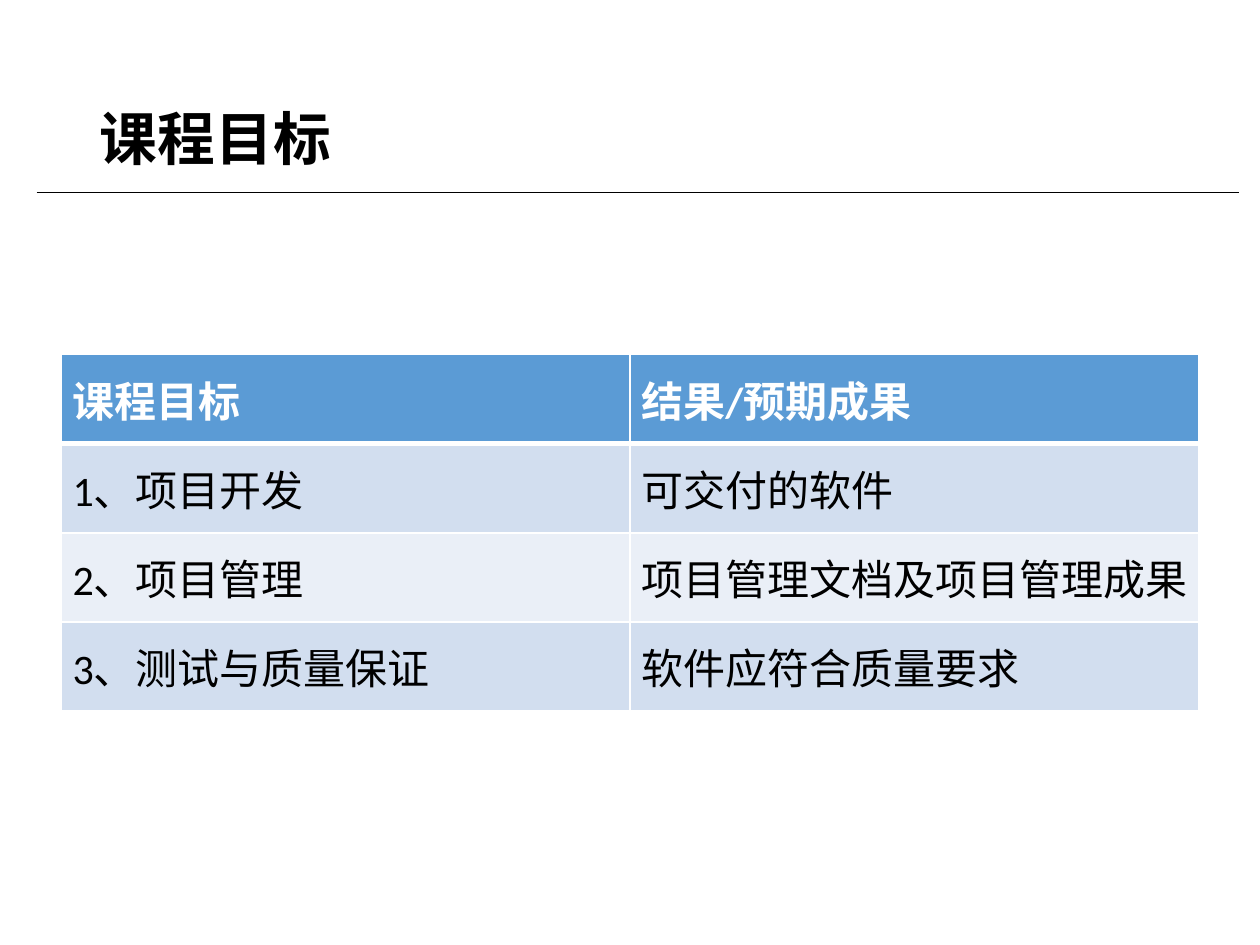
import lxml.etree
import pptx
import pptx.dml.color
import pptx.enum.shapes
import pptx.enum.text
import pptx.oxml
import pptx.oxml.ns
import pptx.util

Pt = pptx.util.Pt
RGB = pptx.dml.color.RGBColor.from_string
MIDDLE = pptx.enum.text.MSO_ANCHOR.MIDDLE

TITLE = "课程目标"
ROWS = [
    ("课程目标", "结果/预期成果"),
    ("1、项目开发", "可交付的软件"),
    ("2、项目管理", "项目管理文档及项目管理成果"),
    ("3、测试与质量保证", "软件应符合质量要求"),
]


class Theme:
    """Font, sizes and colours of the slide."""
    font = "Calibri"
    title_size, table_size = 33, 24
    text, white = "000000", "FFFFFF"
    header, bands = "5B9BD5", ("D2DEEF", "EAEFF7")
    thin, thick = 1, 3


def style(p, size, color, bold):
    """Set the font of a whole paragraph."""
    f = p.font
    f.name, f.size, f.bold = Theme.font, Pt(size), bold
    f.color.rgb = RGB(color)


def set_borders(cell, **widths):
    """Give a cell white borders, with widths in points by side L, R, T, B."""
    tc_pr = cell._tc.get_or_add_tcPr()
    ns = pptx.oxml.ns.nsdecls("a")
    for i, side in enumerate("LRTB"):
        width = Pt(widths.get(side, Theme.thin))
        tc_pr.insert(i, pptx.oxml.parse_xml(
            f'<a:ln{side} {ns} w="{width}"><a:solidFill>'
            f'<a:srgbClr val="{Theme.white}"/></a:solidFill></a:ln{side}>'))


def add_rule(s, left, right, y):
    """Draw the thin line under the title."""
    line = s.shapes.add_connector(
        pptx.enum.shapes.MSO_CONNECTOR.STRAIGHT, Pt(left), Pt(y), Pt(right), Pt(y))
    line.line.color.rgb = RGB(Theme.text)
    line.line.width = Pt(0.5)
    lxml.etree.SubElement(line._element.spPr, pptx.oxml.ns.qn("a:effectLst"))


def add_title(s, left, top, width, height):
    """Add the slide title."""
    tf = s.shapes.add_textbox(Pt(left), Pt(top), Pt(width), Pt(height)).text_frame
    tf.word_wrap = True
    tf.vertical_anchor = MIDDLE
    p = tf.paragraphs[0]
    p.text, p.line_spacing = TITLE, 0.9
    style(p, Theme.title_size, Theme.text, True)


def add_goals(s, left, top, width, height):
    """Add the table of goals, with a header and banded rows."""
    table = s.shapes.add_table(
        len(ROWS), len(ROWS[0]), Pt(left), Pt(top), Pt(width), Pt(height)).table
    for r, row in enumerate(ROWS):
        head = r == 0
        fill = Theme.header if head else Theme.bands[(r - 1) % 2]
        edge = {0: {"B": Theme.thick}, 1: {"T": Theme.thick}}.get(r, {})
        for c, text in enumerate(row):
            cell = table.cell(r, c)
            cell.text = text
            cell.vertical_anchor = MIDDLE
            cell.margin_left, cell.margin_right = Pt(6.5), Pt(4)
            cell.margin_top = cell.margin_bottom = Pt(3.2)
            cell.fill.solid()
            cell.fill.fore_color.rgb = RGB(fill)
            set_borders(cell, **edge)
            style(cell.text_frame.paragraphs[0], Theme.table_size,
                  Theme.white if head else Theme.text, head)


prs = pptx.Presentation()
prs.slide_width, prs.slide_height = Pt(720), Pt(540)
s = prs.slides.add_slide(prs.slide_layouts[6])
add_rule(s, 21, 708, 110)
add_title(s, 50, 28.5, 620, 104.5)
add_goals(s, 35, 202.7, 650, 203.6)
prs.save("out.pptx")
